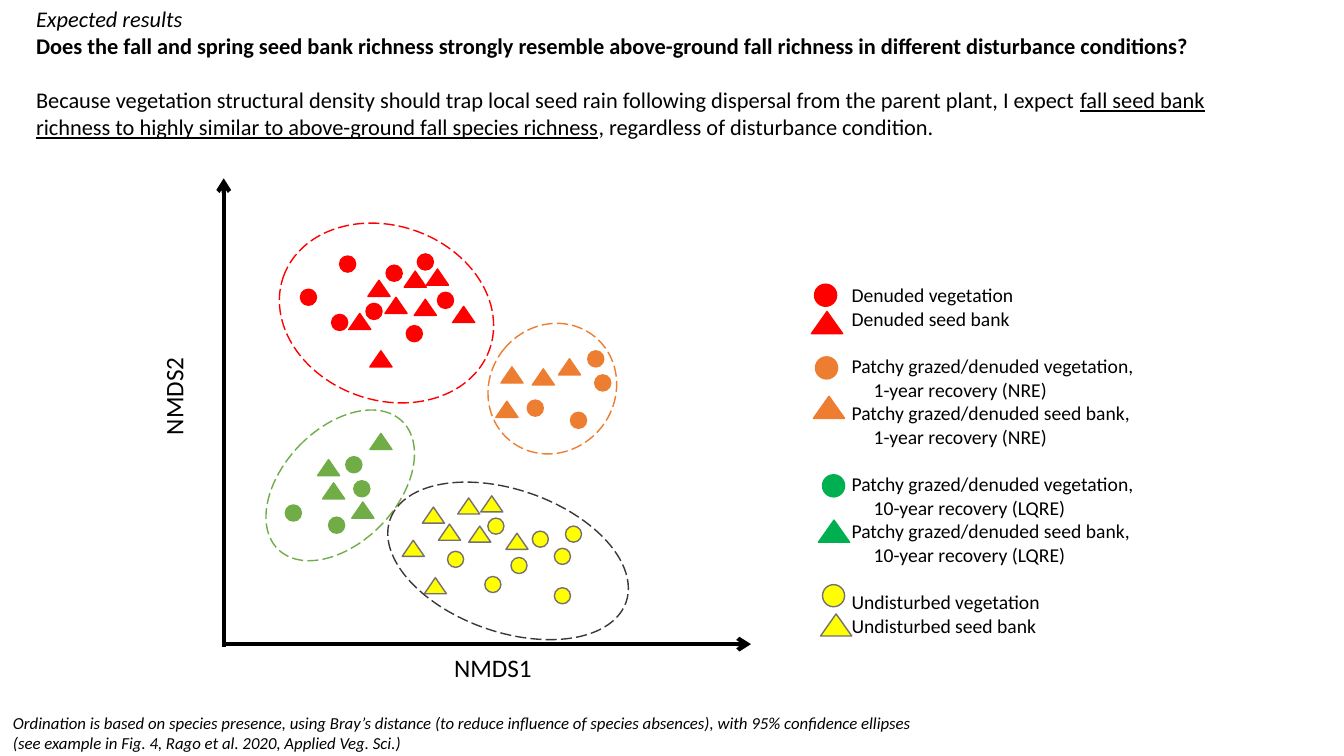
from pptx import Presentation
from pptx import util as u
from pptx.dml.color import RGBColor
from pptx.enum import shapes, text
from pptx.enum.dml import MSO_LINE
from pptx.oxml.ns import qn
from lxml import etree

Pt = u.Pt
OVAL, TRI = shapes.MSO_SHAPE.OVAL, shapes.MSO_SHAPE.ISOSCELES_TRIANGLE
RED, ORANGE, LEAF, GREEN = "FF0000", "ED7D31", "70AD47", "00B050"
YELLOW, GREY, DARK, BLACK = "FFFF00", "767171", "3B3838", "000000"
DOT, WEDGE = (11.5, 11.5), (15.8, 11.5)
KEYS = {OVAL: (15.8, 15.8), TRI: (22.3, 15.8)}

# Each paragraph: list of (words, format), space before, left indent
ITAL, BOLD, LINE, PLAIN = {"italic": True}, {"bold": True}, {"underline": True}, {}
INTRO = [
    ([("Expected results", ITAL)], 0, 0),
    ([("Does the fall and spring seed bank richness strongly resemble "
       "above-ground fall richness in different disturbance conditions?", BOLD)], 0, 0),
    ([("Because vegetation structural density should trap local seed rain "
       "following dispersal from the parent plant, I expect ", PLAIN),
      ("fall seed bank richness to highly similar to above-ground fall "
       "species richness", LINE),
      (", regardless of disturbance condition.", PLAIN)], 19.5, 0),
]
NOTE = [
    ([("Ordination is based on species presence, using Bray’s distance (to "
       "reduce influence of species absences), with 95% confidence ellipses", ITAL)], 0, 0),
    ([("(see example in Fig. 4, Rago et al. 2020, Applied Veg. Sci.)", ITAL)], 0, 0),
]
GROUPS = [("Denuded", ""),
          ("Patchy grazed/denuded", "1-year recovery (NRE)"),
          ("Patchy grazed/denuded", "10-year recovery (LQRE)"),
          ("Undisturbed", "")]

# Legend marks: fill, line, circle place, triangle place
MARKS = [
    (RED, RED, (581.8, 203), (579.6, 222.5)),
    (ORANGE, ORANGE, (582.5, 254.9), (581, 283)),
    (GREEN, GREEN, (587.5, 339.1), (584.6, 371.5)),
    (YELLOW, GREY, (587.5, 417.6), (586.1, 438.5)),
]

# Plot clusters: ring is left, top, width, height, turn
PLOTS = [
    {"fill": RED, "line": RED, "edge": RED, "ring": (198, 161.3, 156.2, 124.6, 19.3),
     "dots": [(242.6, 182.9), (214.6, 206.6), (312.5, 208.8), (261.4, 216.7),
              (236.9, 224.6), (298.1, 181.4), (275.8, 189.4), (290.2, 232.6)],
     "tris": [(262.8, 200.2), (275, 212.4), (288.7, 193.7), (295.9, 213.8),
              (264.2, 250.6), (323.3, 218.9), (304.6, 192.2), (249.1, 223.9)]},
    {"fill": ORANGE, "line": ORANGE, "edge": ORANGE,
     "ring": (349.9, 229.7, 89.3, 95.8, 39),
     "dots": [(376.6, 285.8), (424.8, 267.8), (407.5, 294.5), (419.8, 250.6)],
     "tris": [(380.2, 263.5), (354.2, 286.6), (398.9, 256.3), (357.8, 262.1)]},
    {"fill": LEAF, "line": LEAF, "edge": LEAF, "ring": (202.3, 283, 81.4, 127.4, 44),
     "dots": [(203.8, 360.7), (252.7, 343.4), (234.7, 369.4), (247, 326.2)],
     "tris": [(264.2, 309.6), (251.3, 358.6), (230.4, 344.9), (226.8, 328.3)]},
    {"fill": YELLOW, "line": GREY, "edge": DARK,
     "ring": (273.6, 349.9, 178.6, 101.5, 19.3),
     "dots": [(348.5, 370.1), (319.7, 393.8), (396, 391.7), (365, 398.2),
              (346.3, 411.8), (403.9, 375.8), (380.2, 379.4), (396, 419.8)],
     "tris": [(301.7, 362.2), (313.2, 374.4), (326.9, 355.7), (334.8, 375.8),
              (303.1, 412.6), (361.4, 380.9), (343.4, 354.2), (287.3, 385.9)]},
]
AXES = [((159.8, 462.2), (159.8, 127.4)), ((161.3, 460.1), (536.4, 460.1))]
NAMES = [("NMDS1", 316.8, 462.2, 0), ("NMDS2", 88.6, 268.6, 270)]

deck = Presentation()
deck.slide_width, deck.slide_height = Pt(960), Pt(540)
slide = deck.slides.add_slide(deck.slide_layouts[6])


def paint(part, hue):
    """Give a fill or font colour a solid hue."""
    part.rgb = RGBColor.from_string(hue)


def mark(kind, spot, size, fill, line, turn=0):
    """Draw a filled mark, or a dashed ring when fill is None."""
    shape = slide.shapes.add_shape(kind, *map(Pt, (*spot, *size)))
    shape.shadow.inherit = False
    shape.rotation = turn
    paint(shape.line.color, line)
    shape.line.width = Pt(1)
    if fill:
        shape.fill.solid()
        paint(shape.fill.fore_color, fill)
    else:
        shape.fill.background()
        shape.line.dash_style = MSO_LINE.LONG_DASH


def write(rows, box, size, wrap=False, turn=0, align=text.PP_ALIGN.LEFT):
    """Write paragraphs of formatted runs in a text box."""
    shape = slide.shapes.add_textbox(*map(Pt, box))
    shape.rotation = turn
    frame = shape.text_frame
    frame.word_wrap = wrap
    for i, (runs, gap, inset) in enumerate(rows):
        para = frame.paragraphs[0] if i == 0 else frame.add_paragraph()
        para.space_before, para.alignment = Pt(gap), align
        if inset:
            para._p.get_or_add_pPr().set("marL", str(Pt(inset)))
        for words, form in runs:
            run = para.add_run()
            run.text = words
            for key, val in {"name": "Calibri", "size": Pt(size), **form}.items():
                setattr(run.font, key, val)
            paint(run.font.color, BLACK)


def axis(start, tip):
    """Draw an axis that ends in an arrowhead."""
    rod = slide.shapes.add_connector(shapes.MSO_CONNECTOR.STRAIGHT,
                                     *map(Pt, (*start, *tip)))
    paint(rod.line.color, BLACK)
    rod.line.width = Pt(3)
    etree.SubElement(rod.line._get_or_add_ln(), qn("a:tailEnd"), type="arrow")
    etree.SubElement(rod._element.spPr, qn("a:effectLst"))


def legend():
    """List the legend rows, two entries to each group."""
    rows = []
    for i, (name, stage) in enumerate(GROUPS):
        for j, part in enumerate(("vegetation", "seed bank")):
            comma = "," if stage else ""
            gap = 17.1 if i and not j else 0
            rows.append(([(f"{name} {part}{comma}", PLAIN)], gap, 0))
            if stage:
                rows.append(([(stage, PLAIN)], 0, 15.8))
    return rows


write(INTRO, (18.7, 0, 902.2, 123.8), 16, wrap=True)
write(NOTE, (2.2, 505.4, 664.6, 36), 12)
for ends in AXES:
    axis(*ends)
for name, left, top, turn in NAMES:
    write([([(name, PLAIN)], 0, 0)], (left, top, 70.6, 28.8), 18,
          turn=turn, align=text.PP_ALIGN.CENTER)

for fill, line, *spots in MARKS:
    for kind, spot in zip(KEYS, spots):
        mark(kind, spot, KEYS[kind], fill, line)
write(legend(), (601.2, 198.7, 221, 262.1), 14)

for plot in PLOTS:
    for kind, key, size in ((OVAL, "dots", DOT), (TRI, "tris", WEDGE)):
        for spot in plot[key]:
            mark(kind, spot, size, plot["fill"], plot["line"])
    left, top, wide, high, turn = plot["ring"]
    mark(OVAL, (left, top), (wide, high), None, plot["edge"], turn)

deck.save("out.pptx")
